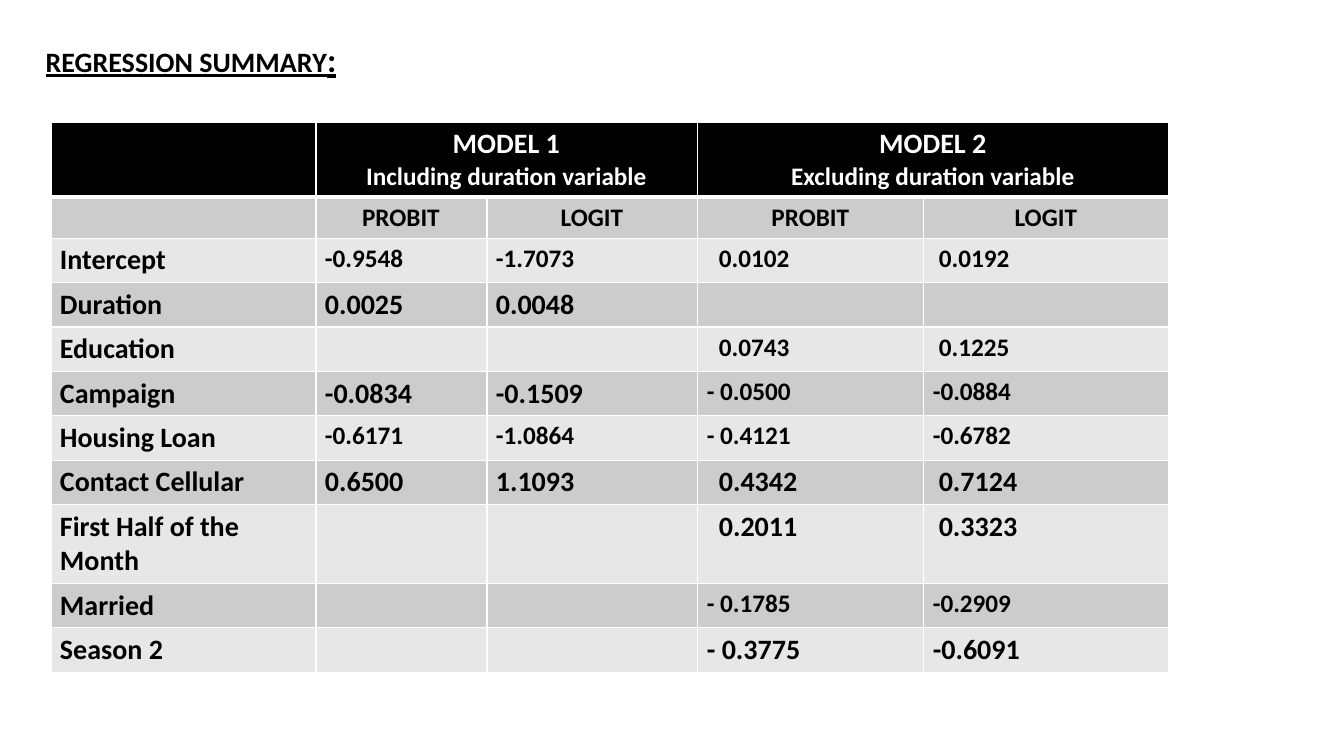
from lxml import etree
from pptx import Presentation
from pptx import util as u
from pptx.dml.color import RGBColor
from pptx.enum import text
from pptx.oxml.ns import qn

BLACK = RGBColor(0x00, 0x00, 0x00)
WHITE = RGBColor(0xFF, 0xFF, 0xFF)
DARK_BAND = RGBColor(0xCC, 0xCC, 0xCC)
LIGHT_BAND = RGBColor(0xE7, 0xE7, 0xE7)
FONT = "Calibri"
SMALL, LARGE = 18, 20

HEADING = [("REGRESSION SUMMARY", 20), (":", 24)]
MODELS = [
    ("MODEL 1", "Including duration variable"),
    ("MODEL 2", "Excluding duration variable"),
]
METHODS = ("PROBIT", "LOGIT")
# Variable, then probit, logit and text size for each model
COEFFICIENTS = [
    ("Intercept", ("-0.9548", "-1.7073", SMALL), ("0.0102", "0.0192", SMALL)),
    ("Duration", ("0.0025", "0.0048", LARGE), ("", "", SMALL)),
    ("Education", ("", "", SMALL), ("0.0743", "0.1225", SMALL)),
    ("Campaign", ("-0.0834", "-0.1509", LARGE), ("- 0.0500", "-0.0884", SMALL)),
    ("Housing Loan", ("-0.6171", "-1.0864", SMALL), ("- 0.4121", "-0.6782", SMALL)),
    ("Contact Cellular", ("0.6500", "1.1093", LARGE), ("0.4342", "0.7124", LARGE)),
    ("First Half of the Month", ("", "", SMALL), ("0.2011", "0.3323", LARGE)),
    ("Married", ("", "", SMALL), ("- 0.1785", "-0.2909", SMALL)),
    ("Season 2", ("", "", SMALL), ("- 0.3775", "-0.6091", LARGE)),
]

COLUMN_WIDTHS = [265, 171, 211, 226, 245]
ROW_HEIGHTS = [74, 41] + [44] * 6 + [78] + [44] * 2
CELL_MARGIN = 9
POSITIVE_INDENTS = [(0, 0), (12, 6)]


def px(length):
    return u.Emu(round(length * 914400 / 100.8))


def style(paragraph, size, color, align):
    paragraph.alignment = align
    font = paragraph.font
    font.name, font.size, font.bold = FONT, u.Pt(size), True
    font.color.rgb = color


def add_borders(cell, bottom):
    properties = cell._tc.get_or_add_tcPr()
    for side, width in (("lnL", 1), ("lnR", 1), ("lnT", 1), ("lnB", bottom)):
        line = etree.SubElement(properties, qn(f"a:{side}"), w=str(u.Pt(width)))
        fill = etree.SubElement(line, qn("a:solidFill"))
        etree.SubElement(fill, qn("a:srgbClr"), val=str(WHITE))


def write(cell, lines, color=BLACK, align=text.PP_ALIGN.LEFT, indent=0):
    """Fill a cell with (wording, size) lines, one paragraph each."""
    cell.margin_left = px(CELL_MARGIN + indent)
    cell.text = "\n".join(wording for wording, _ in lines)
    for paragraph, (_, size) in zip(cell.text_frame.paragraphs, lines):
        style(paragraph, size, color, align)


def add_heading(slide):
    heading = slide.shapes.title
    heading.left, heading.top, heading.width, heading.height = map(px, (34, 34, 314, 50))
    frame = heading.text_frame
    frame.word_wrap = False
    frame.auto_size = text.MSO_AUTO_SIZE.NONE
    frame.vertical_anchor = text.MSO_ANCHOR.TOP
    paragraph = frame.paragraphs[0]
    style(paragraph, LARGE, BLACK, text.PP_ALIGN.CENTER)
    paragraph.line_spacing = 1.0
    paragraph.font.underline = True
    for wording, size in HEADING:
        run = paragraph.add_run()
        run.text = wording
        run.font.size = u.Pt(size)


def add_summary(slide):
    summary = slide.shapes.add_table(
        len(ROW_HEIGHTS), len(COLUMN_WIDTHS), px(51), px(122),
        px(sum(COLUMN_WIDTHS)), px(sum(ROW_HEIGHTS))).table
    summary.first_row = summary.horz_banding = False
    for column, width in zip(summary.columns, COLUMN_WIDTHS):
        column.width = px(width)
    for index, (row, height) in enumerate(zip(summary.rows, ROW_HEIGHTS)):
        row.height = px(height)
        band = BLACK if index == 0 else DARK_BAND if index % 2 else LIGHT_BAND
        for cell in row.cells:
            add_borders(cell, 3 if index == 0 else 1)
            cell.fill.solid()
            cell.fill.fore_color.rgb = band

    center = text.PP_ALIGN.CENTER
    for model, (name, scope) in enumerate(MODELS):
        first = 1 + 2 * model
        header = summary.cell(0, first)
        header.merge(summary.cell(0, first + 1))
        header.vertical_anchor = text.MSO_ANCHOR.MIDDLE
        write(header, [(name, LARGE), (scope, SMALL)], WHITE, center)
        for offset, method in enumerate(METHODS):
            write(summary.cell(1, first + offset), [(method, SMALL)], align=center)

    for row, (variable, *estimates) in enumerate(COEFFICIENTS, start=2):
        write(summary.cell(row, 0), [(variable, LARGE)])
        for model, (*values, size) in enumerate(estimates):
            for offset, value in enumerate(values):
                indent = 0 if value.startswith("-") else POSITIVE_INDENTS[model][offset]
                write(summary.cell(row, 1 + 2 * model + offset),
                      [(value, size)], indent=indent)


def main():
    deck = Presentation()
    deck.slide_width, deck.slide_height = px(1344), px(756)
    slide = deck.slides.add_slide(deck.slide_layouts[5])
    add_summary(slide)
    add_heading(slide)
    deck.save("out.pptx")


if __name__ == "__main__":
    main()
